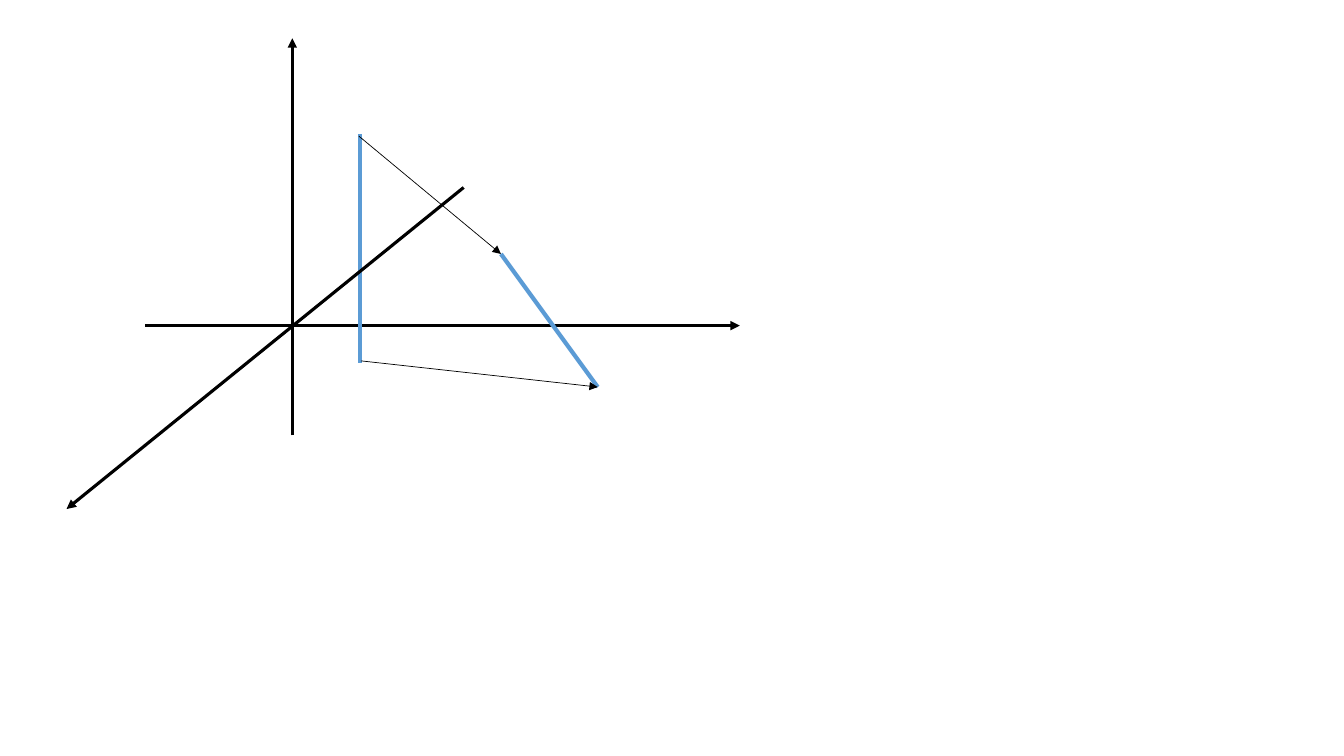
from lxml.etree import SubElement
from pptx import Presentation
from pptx.dml.color import RGBColor
from pptx.enum.shapes import MSO_CONNECTOR as Connector
from pptx.oxml.ns import qn
from pptx.util import Pt

COLORS = {"axis": "000000", "segment": "5B9BD5", "mapping": "000000"}
WIDTHS = {"axis": 2.25, "segment": 3, "mapping": 0.5}
ARROWED = {"axis", "mapping"}

image_top = (357.84, 181.44)
image_bottom = (426.96, 276.48)

STROKES = [
    ("axis", (103.68, 232.56), (528.48, 232.56)),
    ("axis", (208.8, 311.04), (208.8, 27.36)),
    ("segment", (257.04, 95.76), (257.04, 259.2)),
    ("segment", image_top, image_bottom),
    ("axis", (331.2, 133.92), (47.52, 363.6)),
    ("mapping", (256.32, 97.2), image_top),
    ("mapping", (257.76, 257.76), image_bottom),
]


def draw_stroke(slide, role, start, end):
    ends = [Pt(value) for value in (*start, *end)]
    stroke = slide.shapes.add_connector(Connector.STRAIGHT, *ends)
    stroke.line.width = Pt(WIDTHS[role])
    stroke.line.color.rgb = RGBColor.from_string(COLORS[role])
    if role in ARROWED:
        SubElement(stroke.line._get_or_add_ln(), qn("a:tailEnd"), type="triangle")
    SubElement(stroke._element.spPr, qn("a:effectLst"))


def main():
    deck = Presentation()
    deck.slide_width, deck.slide_height = Pt(960), Pt(540)
    slide = deck.slides.add_slide(deck.slide_layouts[6])
    for role, start, end in STROKES:
        draw_stroke(slide, role, start, end)
    deck.save("out.pptx")


if __name__ == "__main__":
    main()
